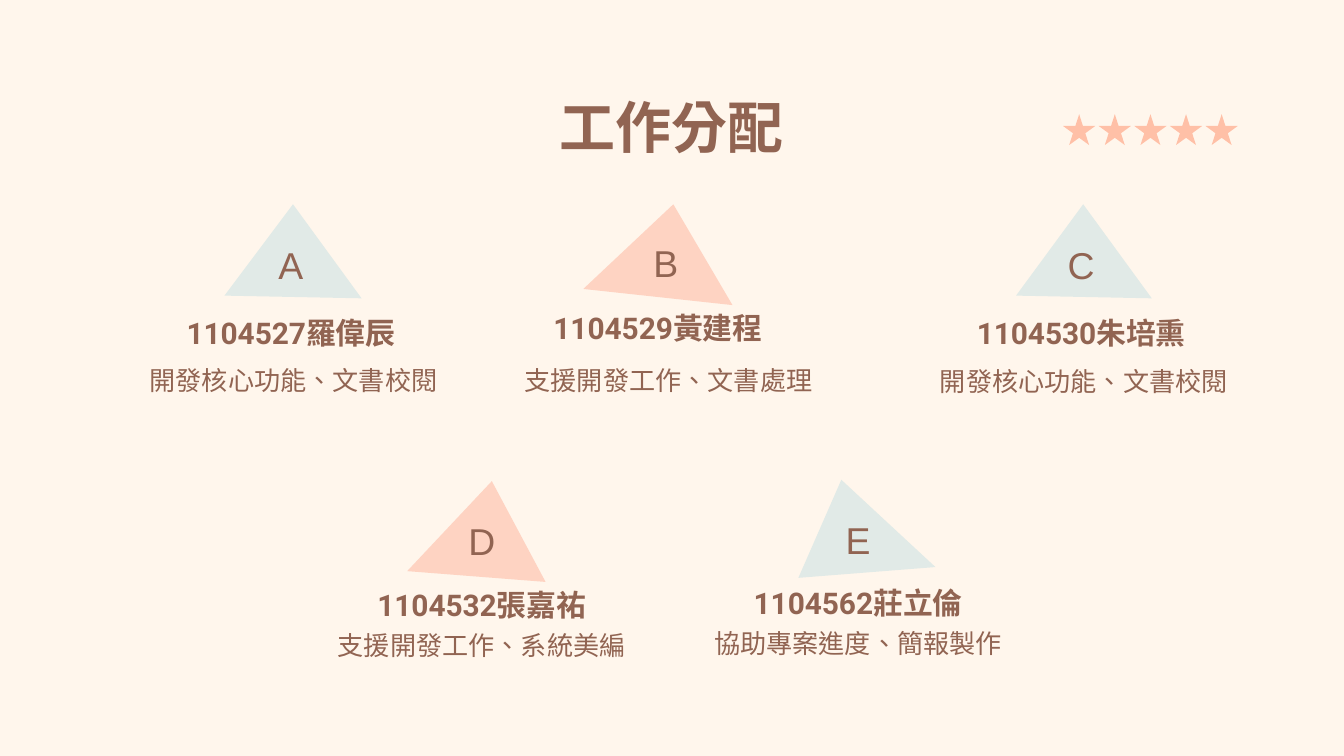
"""Builds the work allocation slide with five team members."""
from pptx import Presentation
from pptx.dml.color import RGBColor
from pptx.enum.lang import MSO_LANGUAGE_ID as Language
from pptx.enum.shapes import MSO_SHAPE as Shape
from pptx.enum.text import MSO_ANCHOR as Anchor, PP_ALIGN as Align
from pptx.util import Inches, Pt

CREAM = RGBColor(0xFF, 0xF6, 0xEC)
BROWN = RGBColor(0x91, 0x64, 0x52)
CORAL = RGBColor(0xFF, 0xC0, 0xA7)
PEACH = RGBColor(0xFE, 0xD3, 0xC2)
MIST = RGBColor(0xE1, 0xEA, 0xE7)

MEMBERS = [
    ("A", "1104527羅偉辰", "開發核心功能、文書校閱", MIST, Anchor.TOP,
     [(1.67, 2.2), (2.18, 1.52), (2.69, 2.22)], (1.73, 1.81), (0.99, 2.24), (1.01, 2.61)),
    ("B", "1104529黃建程", "支援開發工作、文書處理", PEACH, Anchor.MIDDLE,
     [(4.34, 2.15), (5.01, 1.52), (5.45, 2.27)], (4.52, 1.8), (3.72, 2.24), (3.8, 2.61)),
    ("C", "1104530朱培熏", "開發核心功能、文書校閱", MIST, Anchor.TOP,
     [(7.56, 2.2), (8.06, 1.52), (8.57, 2.22)], (7.61, 1.81), (6.87, 2.24), (6.89, 2.62)),
    ("D", "1104532張嘉祐", "支援開發工作、系統美編", PEACH, Anchor.MIDDLE,
     [(3.03, 4.25), (3.66, 3.58), (4.06, 4.33)], (3.15, 3.87), (2.41, 4.3), (2.41, 4.58)),
    ("E", "1104562莊立倫", "協助專案進度、簡報製作", MIST, Anchor.MIDDLE,
     [(5.94, 4.3), (6.26, 3.57), (6.96, 4.22)], (5.95, 3.86), (5.21, 4.29), (5.21, 4.57)),
]


class SlideBuilder:
    def __init__(self, page):
        self.page = page
        page.background.fill.solid()
        page.background.fill.fore_color.rgb = CREAM

    def paint(self, shape, color):
        shape.shadow.inherit = False
        shape.fill.solid()
        shape.fill.fore_color.rgb = color
        shape.line.fill.background()

    def star(self, left, top, width, height):
        star = self.page.shapes.add_shape(
            Shape.STAR_5_POINT, Inches(left), Inches(top), Inches(width), Inches(height))
        self.paint(star, CORAL)

    def triangle(self, corners, color):
        first, *others = [(Inches(x), Inches(y)) for x, y in corners]
        outline = self.page.shapes.build_freeform(*first)
        outline.add_line_segments(others, close=True)
        self.paint(outline.convert_to_shape(), color)

    def text(self, words, position, size, points, font="Roboto", bold=False, anchor=Anchor.TOP):
        box = self.page.shapes.add_textbox(*map(Inches, position + size))
        frame = box.text_frame
        frame.word_wrap = True
        frame.vertical_anchor = anchor
        frame.margin_left = frame.margin_right = Inches(0.1)
        frame.margin_top = frame.margin_bottom = Inches(0.1)
        frame.text = words
        para = frame.paragraphs[0]
        para.alignment = Align.CENTER
        for span in para.runs:
            span.font.name = font
            span.font.size = Pt(points)
            span.font.bold = bold
            span.font.color.rgb = BROWN
            span.font.language_id = Language.TRADITIONAL_CHINESE


def main():
    deck = Presentation()
    deck.slide_width = Inches(10)
    deck.slide_height = deck.slide_width * 9 // 16
    builder = SlideBuilder(deck.slides.add_slide(deck.slide_layouts[6]))

    first_star, last_star = 7.91, 8.97
    for index in range(5):
        builder.star(first_star + index * (last_star - first_star) / 4, 0.85, 0.24, 0.23)
    builder.text("工作分配", (0.78, 0.59), (8.44, 0.63), 30, "Arial", bold=True)

    for letter, name, task, color, anchor, corners, letter_at, name_at, task_at in MEMBERS:
        builder.triangle(corners, color)
        builder.text(letter, letter_at, (0.87, 0.31), 20, "Arial", anchor=Anchor.MIDDLE)
        builder.text(name, name_at, (2.35, 0.39), 16, bold=True, anchor=anchor)
        builder.text(task, task_at, (2.35, 0.63), 14)

    deck.save("out.pptx")


if __name__ == "__main__":
    main()
